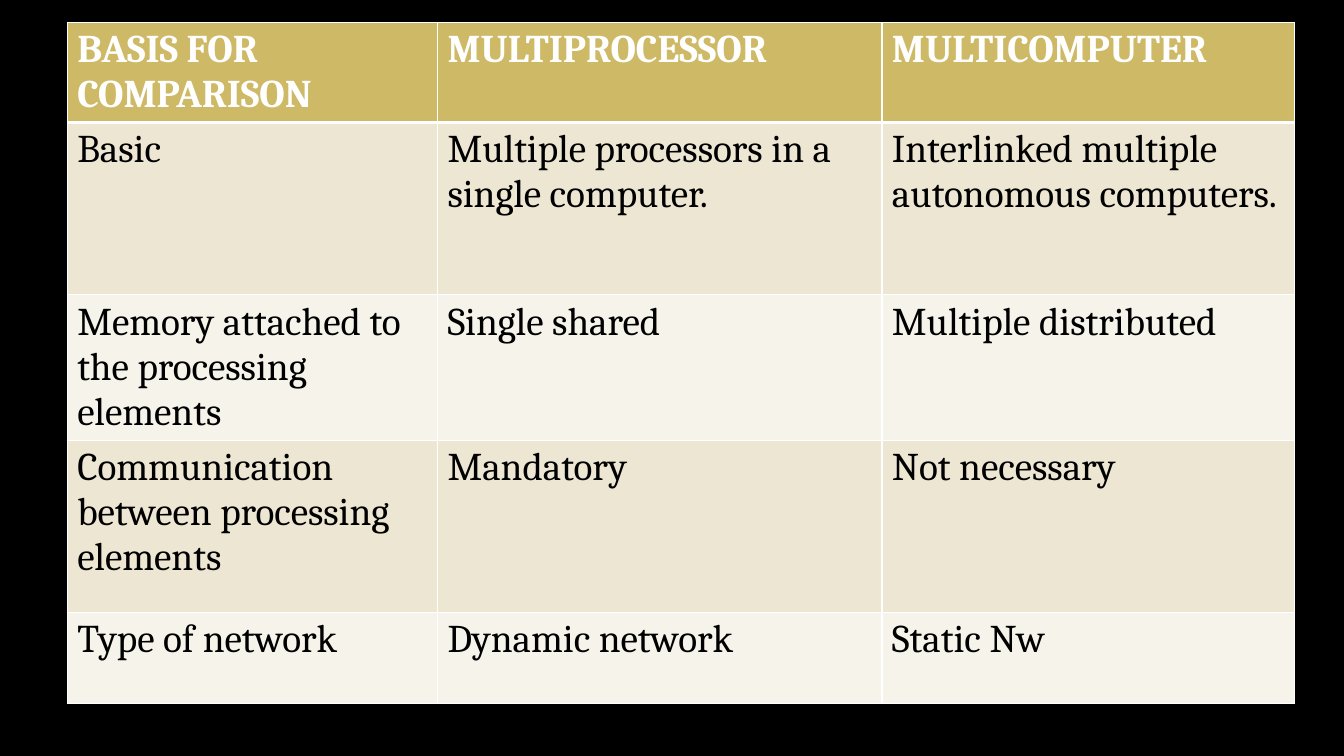
from pptx import Presentation
from pptx.dml.color import RGBColor
from pptx.oxml import parse_xml
from pptx.oxml.ns import nsdecls
from pptx.util import Pt

COLORS = {
    "background": "000000",
    "header": "CEB966",
    "band_dark": "EDE6D3",
    "band_light": "F6F3EA",
    "header_text": "FFFFFF",
    "body_text": "000000",
    "border": "FFFFFF",
}
FONT = "Cambria"
FONT_SIZE = 28
COL_WIDTHS = [264.5, 317.5, 294.5]
ROW_HEIGHTS = [68.4, 123.1, 99.4, 123.1, 64.8]
ROWS = [
    ["BASIS FOR COMPARISON", "MULTIPROCESSOR", "MULTICOMPUTER"],
    ["Basic", "Multiple processors in a single computer.",
     "Interlinked multiple autonomous computers."],
    ["Memory attached to the processing elements", "Single shared",
     "Multiple distributed"],
    ["Communication between processing elements", "Mandatory",
     "Not necessary"],
    ["Type of network", "Dynamic network", "Static Nw"],
]


def rgb(name):
    return RGBColor.from_string(COLORS[name])


def set_borders(cell, top, bottom):
    tcPr = cell._tc.get_or_add_tcPr()
    for side, width in (("L", 1), ("R", 1), ("T", top), ("B", bottom)):
        tcPr.append(parse_xml(
            f'<a:ln{side} {nsdecls("a")} w="{Pt(width)}"><a:solidFill>'
            f'<a:srgbClr val="{COLORS["border"]}"/></a:solidFill></a:ln{side}>'))


def style_cell(cell, text, row):
    is_header = row == 0
    set_borders(cell, 3 if row == 1 else 1, 3 if is_header else 1)
    band = "band_dark" if row % 2 else "band_light"
    cell.fill.solid()
    cell.fill.fore_color.rgb = rgb("header" if is_header else band)
    cell.text_frame.text = text
    font = cell.text_frame.paragraphs[0].runs[0].font
    font.name = FONT
    font.size = Pt(FONT_SIZE)
    font.bold = is_header
    font.color.rgb = rgb("header_text" if is_header else "body_text")


def add_comparison_table(s, left, top, width, height):
    frame = s.shapes.add_table(len(ROWS), len(COL_WIDTHS),
                               Pt(left), Pt(top), Pt(width), Pt(height))
    table = frame.table
    for column, share in zip(table.columns, COL_WIDTHS):
        column.width = Pt(width * share / sum(COL_WIDTHS))
    for row, row_height in zip(table.rows, ROW_HEIGHTS):
        row.height = Pt(row_height)
    for i, texts in enumerate(ROWS):
        for j, text in enumerate(texts):
            style_cell(table.cell(i, j), text, i)
    frame.height = Pt(height)


def main():
    prs = Presentation()
    prs.slide_width = Pt(960)
    prs.slide_height = Pt(540)
    s = prs.slides.add_slide(prs.slide_layouts[6])
    s.background.fill.solid()
    s.background.fill.fore_color.rgb = rgb("background")
    add_comparison_table(s, 48, 16, 876.5, 494)
    prs.save("out.pptx")


if __name__ == "__main__":
    main()
